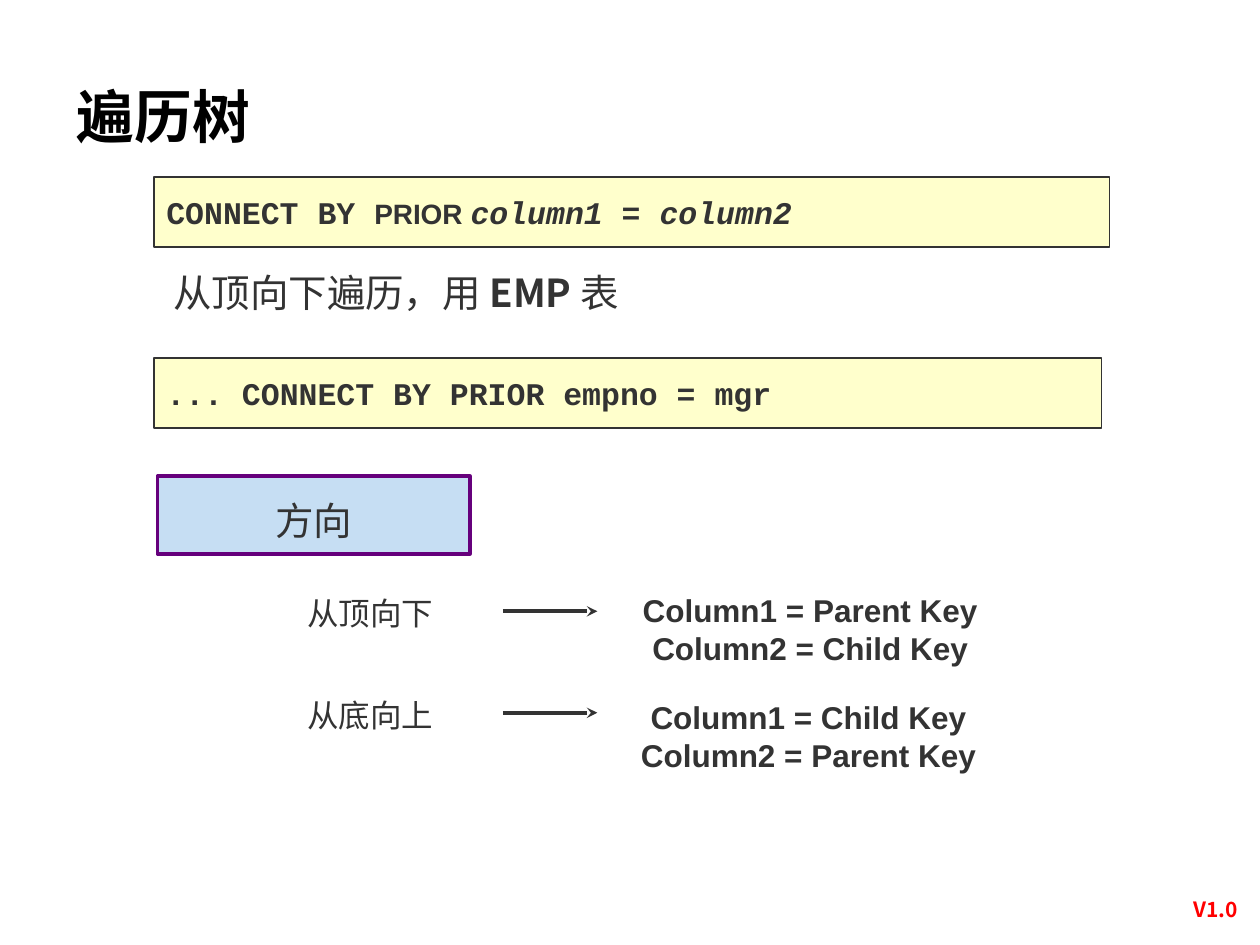
import collections

import pptx
import pptx.dml.color
import pptx.enum.shapes
import pptx.enum.text
import pptx.oxml.ns
import pptx.util
from lxml import etree

Pt = pptx.util.Pt
Align = pptx.enum.text.PP_ALIGN
Anchor = pptx.enum.text.MSO_ANCHOR
Box = collections.namedtuple("Box", "left top width height")
Span = collections.namedtuple("Span", "text size font bold italic",
                              defaults=(None, None, None, None))


class Theme:
    ink, title, version = "333333", "000000", "FF0000"
    code_fill, label_fill, label_line = "FFFFCC", "C6DEF3", "66007C"
    sans, mono, chinese = "Arial", "Courier New", "Noto Sans CJK SC"
    title_size, heading_size, text_size = 33, 22, 18
    keyword_size, version_size = 16, 12


def rgb(value):
    return pptx.dml.color.RGBColor.from_string(value)


def lengths(box):
    return [Pt(value) for value in box]


def style_font(font, name=None, size=None, color=None, bold=None, italic=None):
    """Set the given properties, with the typeface for Chinese text as well."""
    font.bold, font.italic = bold, italic
    if size:
        font.size = Pt(size)
    if color:
        font.color.rgb = rgb(color)
    if name:
        font.name = name
        latin = font._element.find(pptx.oxml.ns.qn("a:latin"))
        east_asian = etree.Element(pptx.oxml.ns.qn("a:ea"), typeface=name)
        latin.addnext(east_asian)


def write(frame, lines, name, size, color=Theme.ink, bold=None, align=Align.LEFT):
    """Fill a frame; each line is a string or a list of spans."""
    for index, line in enumerate(lines):
        para = frame.paragraphs[0] if index == 0 else frame.add_paragraph()
        para.alignment = align
        style_font(para.font, name, size, color, bold)
        for span in [Span(line)] if isinstance(line, str) else line:
            run = para.add_run()
            run.text = span.text
            style_font(run.font, span.font, span.size, None, span.bold, span.italic)


def add_text(page, box, lines, name, size, wrap=True, **style):
    frame = page.shapes.add_textbox(*lengths(box)).text_frame
    frame.word_wrap = wrap
    frame.auto_size = pptx.enum.text.MSO_AUTO_SIZE.SHAPE_TO_FIT_TEXT
    write(frame, lines, name, size, **style)


def add_panel(page, box, fill, line, line_width):
    """Draw a bordered rectangle and return its text frame."""
    panel = page.shapes.add_shape(
        pptx.enum.shapes.MSO_SHAPE.RECTANGLE, *lengths(box))
    panel.shadow.inherit = False
    panel.fill.solid()
    panel.fill.fore_color.rgb = rgb(fill)
    panel.line.color.rgb = rgb(line)
    panel.line.width = Pt(line_width)
    panel.text_frame.word_wrap = False
    panel.text_frame.vertical_anchor = Anchor.MIDDLE
    return panel.text_frame


def add_code(page, box, spans):
    frame = add_panel(page, box, Theme.code_fill, Theme.ink, 1)
    write(frame, [spans], Theme.mono, Theme.text_size, bold=True)


def add_heading(page, box, text):
    frame = add_panel(page, box, Theme.label_fill, Theme.label_line, 2)
    write(frame, [text], Theme.sans, Theme.heading_size, align=Align.CENTER)
    frame.paragraphs[0].line_spacing = 1.2


def add_arrow(page, left, top, width):
    arrow = page.shapes.add_connector(
        pptx.enum.shapes.MSO_CONNECTOR.STRAIGHT,
        Pt(left), Pt(top), Pt(left + width), Pt(top))
    arrow.line.color.rgb = rgb(Theme.ink)
    arrow.line.width = Pt(2)
    etree.SubElement(arrow.line._get_or_add_ln(),
                     pptx.oxml.ns.qn("a:tailEnd"), type="stealth")
    etree.SubElement(arrow._element.spPr, pptx.oxml.ns.qn("a:effectLst"))


def add_direction(page, box, label, label_width, keys, keys_drop):
    """Place a direction, an arrow and its two column rules in one row."""
    add_text(page, Box(box.left, box.top + 2, label_width, 28.8), [label],
             Theme.chinese, Theme.text_size)
    add_arrow(page, box.left + 118.8, box.top + 15.3, 54)
    keys_left = 190.5
    add_text(page, Box(box.left + keys_left, box.top + keys_drop,
                       box.width - keys_left, box.height), keys,
             Theme.sans, Theme.text_size, wrap=False, bold=True, align=Align.CENTER)


def add_title(page, box, text):
    title = page.shapes.title
    title.left, title.top, title.width, title.height = lengths(box)
    title.text_frame.vertical_anchor = Anchor.MIDDLE
    write(title.text_frame, [text], Theme.chinese, Theme.title_size,
          Theme.title, bold=True)


def main():
    deck = pptx.Presentation()
    deck.slide_width, deck.slide_height = Pt(720), Pt(540)
    page = deck.slides.add_slide(deck.slide_layouts.get_by_name("Title Only"))

    add_text(page, Box(666, 509, 57, 21.6), ["V1.0"], Theme.chinese,
             Theme.version_size, color=Theme.version, bold=True, align=Align.CENTER)
    add_title(page, Box(36.7, 42.5, 612, 47.5), "遍历树")
    add_code(page, Box(88, 101, 546, 40), [
        Span("CONNECT BY "),
        Span("PRIOR ", Theme.keyword_size, Theme.sans),
        Span("column1", italic=True),
        Span(" = "),
        Span("column2", italic=True)])
    add_text(page, Box(92, 150, 513, 33),
             [[Span("从顶向下遍历，用 "), Span("EMP ", bold=True), Span("表")]],
             Theme.chinese, Theme.heading_size)
    add_code(page, Box(88, 204.5, 541.5, 40),
             [Span("... CONNECT BY PRIOR empno = mgr")])
    add_heading(page, Box(90, 272, 178.5, 44.6), "方向")
    add_direction(page, Box(168.5, 334, 398.5, 51), "从顶向下", 112,
                  ["Column1 = Parent Key", "Column2 = Child Key"], 0)
    add_direction(page, Box(168.5, 392, 396.5, 51), "从底向上", 96,
                  ["Column1 = Child Key", "Column2 = Parent Key"], 3.3)
    deck.save("out.pptx")


if __name__ == "__main__":
    main()
